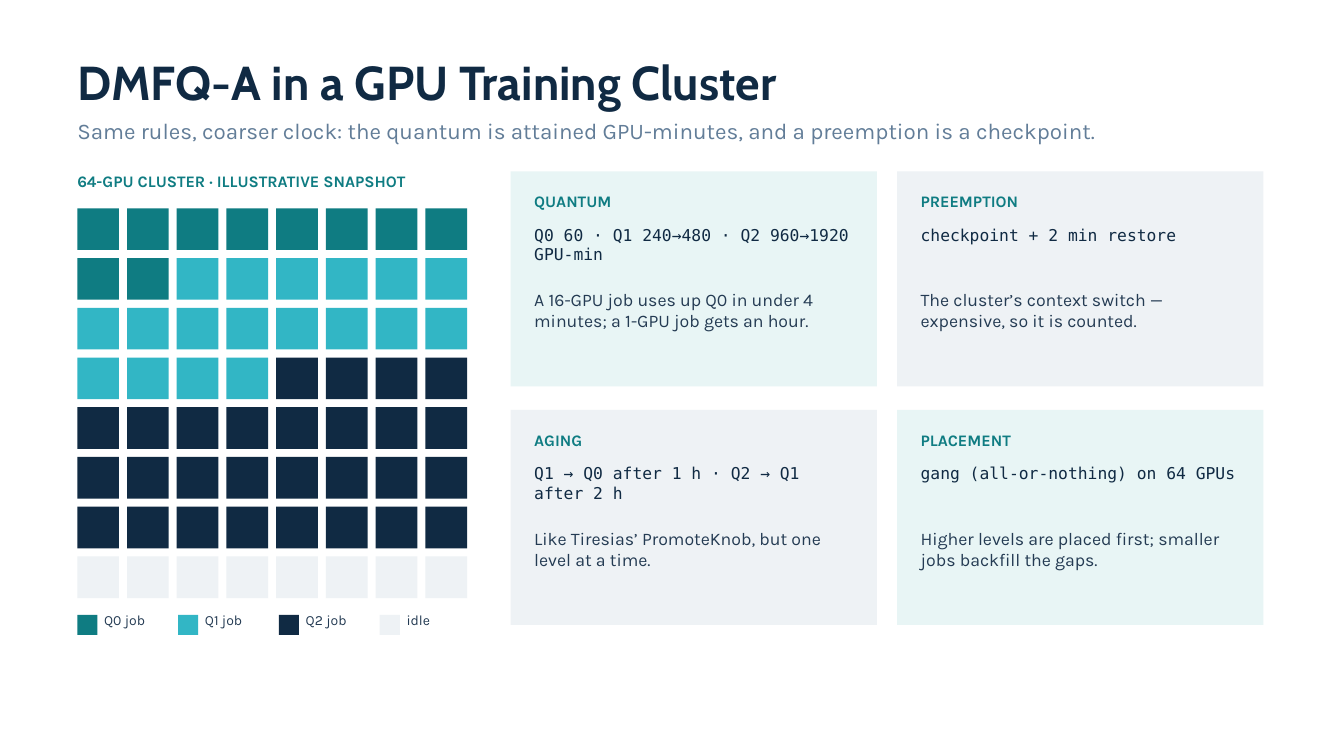
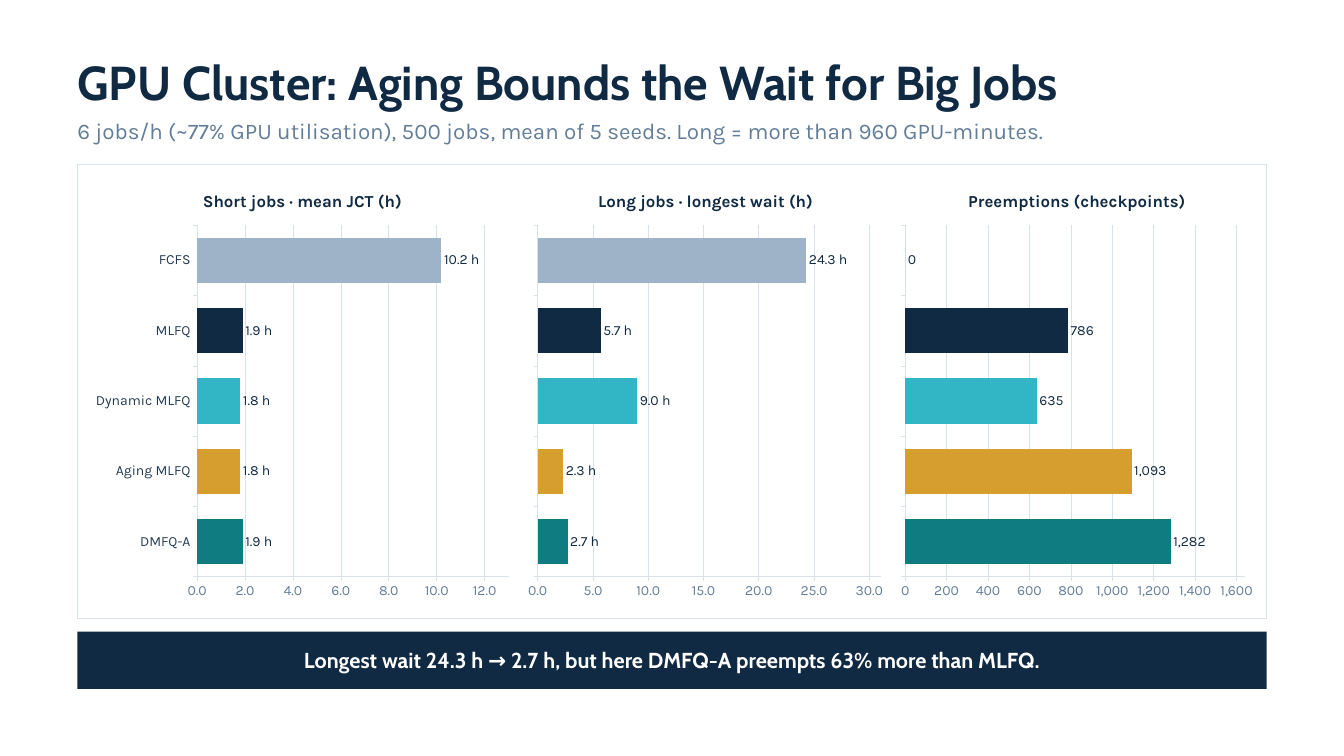
from dataclasses import dataclass
from itertools import chain, repeat

from pptx import Presentation
from pptx.chart.data import CategoryChartData
from pptx.dml.color import RGBColor
from pptx.enum.chart import XL_CHART_TYPE, XL_LABEL_POSITION, XL_TICK_LABEL_POSITION, XL_TICK_MARK
from pptx.enum.shapes import MSO_SHAPE
from pptx.enum.text import MSO_ANCHOR, PP_ALIGN
from pptx.util import Inches, Pt

BAR = XL_CHART_TYPE.BAR_CLUSTERED
OUT_END = XL_LABEL_POSITION.OUTSIDE_END
NO_LABELS = XL_TICK_LABEL_POSITION.NONE
TICK_OUT = XL_TICK_MARK.OUTSIDE
RECT = MSO_SHAPE.RECTANGLE
TOP, MIDDLE = MSO_ANCHOR.TOP, MSO_ANCHOR.MIDDLE
LEFT, CENTER = PP_ALIGN.LEFT, PP_ALIGN.CENTER


@dataclass(frozen=True)
class Theme:
    # Colours
    navy: str = "102A43"
    ink: str = "243B53"
    slate: str = "627D98"
    steel: str = "9FB3C8"
    teal: str = "0F7C82"
    cyan: str = "32B6C5"
    gold: str = "D69E2E"
    mint: str = "E8F5F5"
    mist: str = "EEF2F5"
    rule: str = "D8E2E8"
    white: str = "FFFFFF"
    # Fonts
    head: str = "Cabin"
    body: str = "Karla"
    mono: str = "DejaVu Sans Mono"
    # Type sizes
    title: float = 51
    sub: float = 24
    label: float = 17.2
    code: float = 17.5
    note: float = 19
    small: float = 15
    plot: float = 18
    claim: float = 23.2


T = Theme()
EDGE = 1.15


def set_font(font, size, color, face=T.body, bold=False):
    font.size, font.name, font.bold = Pt(size), face, bold
    font.color.rgb = RGBColor.from_string(color)


def set_line(line, color=T.rule, width=0.75):
    line.color.rgb = RGBColor.from_string(color)
    line.width = Pt(width)


class Deck:
    def __init__(self, theme):
        self.theme = theme
        self.prs = Presentation()
        self.prs.slide_width, self.prs.slide_height = Inches(20), Inches(11.25)
        self.slide = None

    def page(self, title, sub):
        """Start a slide with its title and subtitle."""
        t = self.theme
        self.slide = self.prs.slides.add_slide(self.prs.slide_layouts[6])
        self.text(title, EDGE, 0.79, 17.71, 0.8, size=t.title, color=t.navy,
                  face=t.head, bold=True)
        self.text(sub, EDGE, 1.74, 17, 0.45, size=t.sub, color=t.slate)

    def text(self, words, x, y, w, h, align=LEFT, anchor=TOP, **style):
        box = self.slide.shapes.add_textbox(Inches(x), Inches(y), Inches(w), Inches(h))
        frame = box.text_frame
        frame.word_wrap = True
        frame.vertical_anchor = anchor
        frame.margin_left = frame.margin_right = 0
        frame.margin_top = frame.margin_bottom = 0
        para = frame.paragraphs[0]
        para.alignment = align
        run = para.add_run()
        run.text = words
        set_font(run.font, **style)

    def label(self, words, x, y, w):
        t = self.theme
        self.text(words, x, y, w, 0.33, size=t.label, color=t.teal, bold=True)

    def rect(self, x, y, w, h, fill, line=None):
        shape = self.slide.shapes.add_shape(RECT, Inches(x), Inches(y), Inches(w), Inches(h))
        shape.shadow.inherit = False
        shape.fill.solid()
        shape.fill.fore_color.rgb = RGBColor.from_string(fill)
        if line:
            set_line(shape.line, line, 1.25)
        else:
            shape.line.fill.background()

    def card(self, x, y, fill, head, code, note):
        t = self.theme
        self.rect(x, y, 5.45, 3.2, fill)
        self.label(head, x + 0.35, y + 0.3, 4.8)
        self.text(code, x + 0.35, y + 0.8, 4.8, 0.9, size=t.code, color=t.navy, face=t.mono)
        self.text(note, x + 0.35, y + 1.75, 4.8, 1.3, size=t.note, color=t.ink)

    def bars(self, x, w, title, rows, colors, top, axis_fmt, label_fmt, named):
        """Draw a bar chart; rows run from the bottom bar to the top one."""
        t = self.theme
        data = CategoryChartData()
        data.categories = list(rows)
        data.add_series(title, list(rows.values()))
        chart = self.slide.shapes.add_chart(
            BAR, Inches(x), Inches(2.6), Inches(w), Inches(6.45), data).chart
        set_font(chart.font, t.small, t.ink)
        chart.has_legend = False
        chart.has_title = True
        head = chart.chart_title
        head.include_in_layout = False
        head.text_frame.text = title
        set_font(head.text_frame.paragraphs[0].runs[0].font, t.plot, t.navy, bold=True)

        # Axes
        cat, val = chart.category_axis, chart.value_axis
        for axis, color in ((cat, t.ink), (val, t.slate)):
            axis.major_tick_mark = TICK_OUT
            set_font(axis.tick_labels.font, t.small, color)
            set_line(axis.format.line)
        if not named:
            cat.tick_label_position = NO_LABELS
        val.minimum_scale, val.maximum_scale = 0, top
        val.tick_labels.number_format = axis_fmt
        val.tick_labels.number_format_is_linked = False
        val.has_major_gridlines = True
        set_line(val.major_gridlines.format.line)

        # Bars and values
        plot = chart.plots[0]
        plot.gap_width = 55
        plot.vary_by_categories = False
        for i, color in enumerate(colors):
            fill = plot.series[0].points[i].format.fill
            fill.solid()
            fill.fore_color.rgb = RGBColor.from_string(color)
        labels = plot.series[0].data_labels
        labels.show_value = True
        labels.position = OUT_END
        labels.number_format = label_fmt
        labels.number_format_is_linked = False
        set_font(labels.font, t.small, t.navy)


def draw_cluster(deck):
    deck.page("DMFQ-A in a GPU Training Cluster",
              "Same rules, coarser clock: the quantum is attained GPU-minutes, "
              "and a preemption is a checkpoint.")

    # GPU grid and its key
    deck.label("64-GPU CLUSTER · ILLUSTRATIVE SNAPSHOT", EDGE, 2.55, 6.5)
    jobs = [("Q0 job", T.teal, 10), ("Q1 job", T.cyan, 18),
            ("Q2 job", T.navy, 28), ("idle", T.mist, 8)]
    cells = chain.from_iterable(repeat(color, count) for _, color, count in jobs)
    for i, color in enumerate(cells):
        row, col = divmod(i, 8)
        deck.rect(EDGE + 0.74 * col, 3.1 + 0.74 * row, 0.62, 0.62, color)
    for i, (name, color, _) in enumerate(jobs):
        x = EDGE + 1.5 * i
        deck.rect(x, 9.15, 0.3, 0.3, color)
        deck.text(name, x + 0.4, 9.1, 1.1, 0.4, size=T.small, color=T.ink)

    # Rule cards, tinted like a checkerboard
    cards = [
        ("QUANTUM", "Q0 60 · Q1 240→480 · Q2 960→1920 GPU-min",
         "A 16-GPU job uses up Q0 in under 4 minutes; a 1-GPU job gets an hour."),
        ("PREEMPTION", "checkpoint + 2 min restore",
         "The cluster’s context switch — expensive, so it is counted."),
        ("AGING", "Q1 → Q0 after 1 h · Q2 → Q1 after 2 h",
         "Like Tiresias’ PromoteKnob, but one level at a time."),
        ("PLACEMENT", "gang (all-or-nothing) on 64 GPUs",
         "Higher levels are placed first; smaller jobs backfill the gaps."),
    ]
    for i, card in enumerate(cards):
        row, col = divmod(i, 2)
        tint = T.mist if (row + col) % 2 else T.mint
        deck.card(7.6 + 5.75 * col, 2.55 + 3.55 * row, tint, *card)


def draw_waits(deck):
    deck.page("GPU Cluster: Aging Bounds the Wait for Big Jobs",
              "6 jobs/h (~77% GPU utilisation), 500 jobs, mean of 5 seeds. "
              "Long = more than 960 GPU-minutes.")

    # Three charts in one frame
    deck.rect(EDGE, 2.45, 17.7, 6.75, T.white, line=T.rule)
    names = ["DMFQ-A", "Aging MLFQ", "Dynamic MLFQ", "MLFQ", "FCFS"]
    colors = [T.teal, T.gold, T.cyan, T.navy, T.steel]
    hours, count = ("0.0", '0.0" h"'), ("#,##0", "#,##0")
    charts = [
        (1.3, 6.4, "Short jobs · mean JCT (h)", [1.9, 1.8, 1.8, 1.9, 10.2], 13.01, hours),
        (7.75, 5.5, "Long jobs · longest wait (h)", [2.7, 2.3, 9.0, 5.7, 24.3], 31.05, hours),
        (13.3, 5.45, "Preemptions (checkpoints)", [1282, 1093, 635, 786, 0], 1641.47, count),
    ]
    for i, (x, w, title, vals, top, fmts) in enumerate(charts):
        deck.bars(x, w, title, dict(zip(names, vals)), colors, top, *fmts, named=i == 0)

    # Closing claim
    deck.rect(EDGE, 9.4, 17.7, 0.85, T.navy)
    deck.text("Longest wait 24.3 h → 2.7 h, but here DMFQ-A preempts 63% more than MLFQ.",
              1.55, 9.4, 16.9, 0.85, align=CENTER, anchor=MIDDLE,
              size=T.claim, color=T.white, face=T.head, bold=True)


def main():
    deck = Deck(T)
    draw_cluster(deck)
    draw_waits(deck)
    deck.prs.save("out.pptx")


if __name__ == "__main__":
    main()
